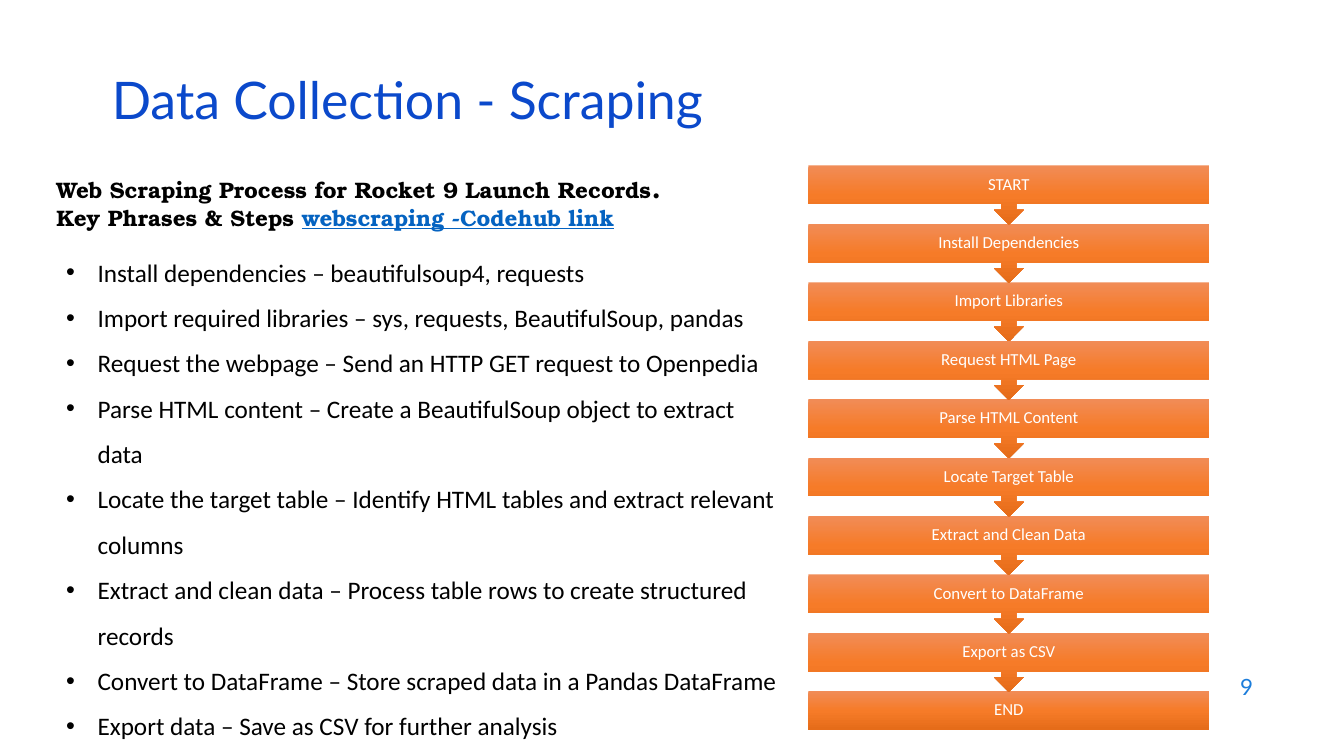
from copy import deepcopy

from pptx import Presentation
from pptx.dml.color import RGBColor
from pptx.enum.shapes import MSO_SHAPE
from pptx.enum.text import MSO_ANCHOR, MSO_AUTO_SIZE, PP_ALIGN
from pptx.oxml import parse_xml
from pptx.oxml.ns import nsdecls, qn
from pptx.util import Cm, Pt

# Content
TITLE = "Data Collection - Scraping"
PAGE_NUMBER = "9"
BULLETS = [
    "Install dependencies – beautifulsoup4, requests",
    "Import required libraries – sys, requests, BeautifulSoup, pandas",
    "Request the webpage – Send an HTTP GET request to Openpedia",
    "Parse HTML content – Create a BeautifulSoup object to extract data",
    "Locate the target table – Identify HTML tables and extract relevant columns",
    "Extract and clean data – Process table rows to create structured records",
    "Convert to DataFrame – Store scraped data in a Pandas DataFrame",
    "Export data – Save as CSV for further analysis",
]
STEPS = ["START", "Install Dependencies", "Import Libraries", "Request HTML Page",
         "Parse HTML Content", "Locate Target Table", "Extract and Clean Data",
         "Convert to DataFrame", "Export as CSV", "END"]

# Formats
TITLE_FONT = {"name": "Lato", "size": Pt(37), "color": "0B49CB"}
PAGE_FONT = {"name": "Lato", "size": Pt(16), "color": "1C7DDB"}
BODY_FONT = {"name": "Calibri", "size": Pt(18), "color": "000000"}
STEP_FONT = {"name": "Calibri", "size": Pt(12), "color": "FFFFFF"}
HEAD_FONT = {"name": "TeX Gyre Bonum", "size": Pt(16), "bold": True, "color": "000000"}
HEADING = [
    ("Web Scraping Process for Rocket 9 Launch Records", HEAD_FONT),
    (". ", {**HEAD_FONT, "size": Pt(20)}),
    ("Key Phrases & Steps ", HEAD_FONT),
    ("webscraping -Codehub link", {**HEAD_FONT, "color": "0563C1", "underline": True}),
]
STEP_GRADIENT = [(0, "F18C57"), (0.5, "F67B28"), (1, "E56C19")]

# Flow chart measures in cm
FLOW_LEFT, FLOW_WIDTH = 20.37, 10.11
FIRST_TOP, LAST_TOP = 4.17, 17.42
CALLOUT_HEIGHT, BOX_HEIGHT = 1.49, 0.97
PITCH = (LAST_TOP - FIRST_TOP) / (len(STEPS) - 1)


def rgb(color):
    return RGBColor.from_string(color)


def add_run(p, text, font):
    r = p.add_run()
    r.text = text
    for key, value in font.items():
        if key == "color":
            r.font.color.rgb = rgb(value)
        else:
            setattr(r.font, key, value)


def add_box(s, left, top, width, height, **frame):
    tf = s.shapes.add_textbox(Cm(left), Cm(top), Cm(width), Cm(height)).text_frame
    tf.word_wrap = True
    for key, value in frame.items():
        setattr(tf, key, value)
    return tf


def add_bullet(p, indent):
    pPr = p._p.get_or_add_pPr()
    pPr.set("marL", str(Cm(indent)))
    pPr.set("indent", str(-Cm(indent)))
    pPr.append(parse_xml(f'<a:buFont {nsdecls("a")} typeface="Arial"/>'))
    pPr.append(parse_xml(f'<a:buChar {nsdecls("a")} char="•"/>'))


def fill_gradient(sp, stops):
    sp.fill.gradient()
    sp.fill.gradient_angle = 270  # downwards
    gs_list = sp._element.spPr.find(".//" + qn("a:gsLst"))
    gs_list.insert(1, deepcopy(gs_list[0]))
    for stop, (position, color) in zip(sp.fill.gradient_stops, stops):
        stop.position = position
        stop.color.rgb = rgb(color)


def add_step(s, index, text):
    last = index == len(STEPS) - 1
    kind = MSO_SHAPE.RECTANGLE if last else MSO_SHAPE.DOWN_ARROW_CALLOUT
    height = BOX_HEIGHT if last else CALLOUT_HEIGHT
    sp = s.shapes.add_shape(kind, Cm(FLOW_LEFT), Cm(FIRST_TOP + index * PITCH),
                            Cm(FLOW_WIDTH), Cm(height))
    sp.shadow.inherit = False
    sp.line.fill.background()
    fill_gradient(sp, STEP_GRADIENT)
    tf = sp.text_frame
    tf.vertical_anchor = MSO_ANCHOR.MIDDLE
    for side in ("left", "top", "right", "bottom"):
        setattr(tf, f"margin_{side}", Cm(0.23))
    p = tf.paragraphs[0]
    p.alignment, p.line_spacing = PP_ALIGN.CENTER, 0.9
    add_run(p, text, STEP_FONT)


def main():
    prs = Presentation()
    prs.slide_width, prs.slide_height = Cm(33.87), Cm(19.05)
    s = prs.slides.add_slide(prs.slide_layouts[6])

    # Page number and title
    p = add_box(s, 24.21, 16.74, 7.62, 1.12, vertical_anchor=MSO_ANCHOR.MIDDLE).paragraphs[0]
    p.alignment = PP_ALIGN.RIGHT
    add_run(p, PAGE_NUMBER, PAGE_FONT)
    p = add_box(s, 2.57, 1.93, 29.21, 1.52, vertical_anchor=MSO_ANCHOR.MIDDLE).paragraphs[0]
    p.line_spacing = 0.7
    add_run(p, TITLE, TITLE_FONT)

    # Bulleted steps
    tf = add_box(s, 1.42, 5.97, 18.54, 12.83, auto_size=MSO_AUTO_SIZE.SHAPE_TO_FIT_TEXT)
    for i, text in enumerate(BULLETS):
        p = tf.add_paragraph() if i else tf.paragraphs[0]
        add_bullet(p, 0.79)
        p.line_spacing = 1.5
        add_run(p, text, BODY_FONT)

    # Heading above the bullets
    tf = add_box(s, 1.17, 4.17, 16.76, 1.8, auto_size=MSO_AUTO_SIZE.SHAPE_TO_FIT_TEXT)
    for text, font in HEADING:
        add_run(tf.paragraphs[0], text, font)

    # Flow chart, drawn from the end up
    for index, text in reversed(list(enumerate(STEPS))):
        add_step(s, index, text)

    prs.save("out.pptx")


if __name__ == "__main__":
    main()
